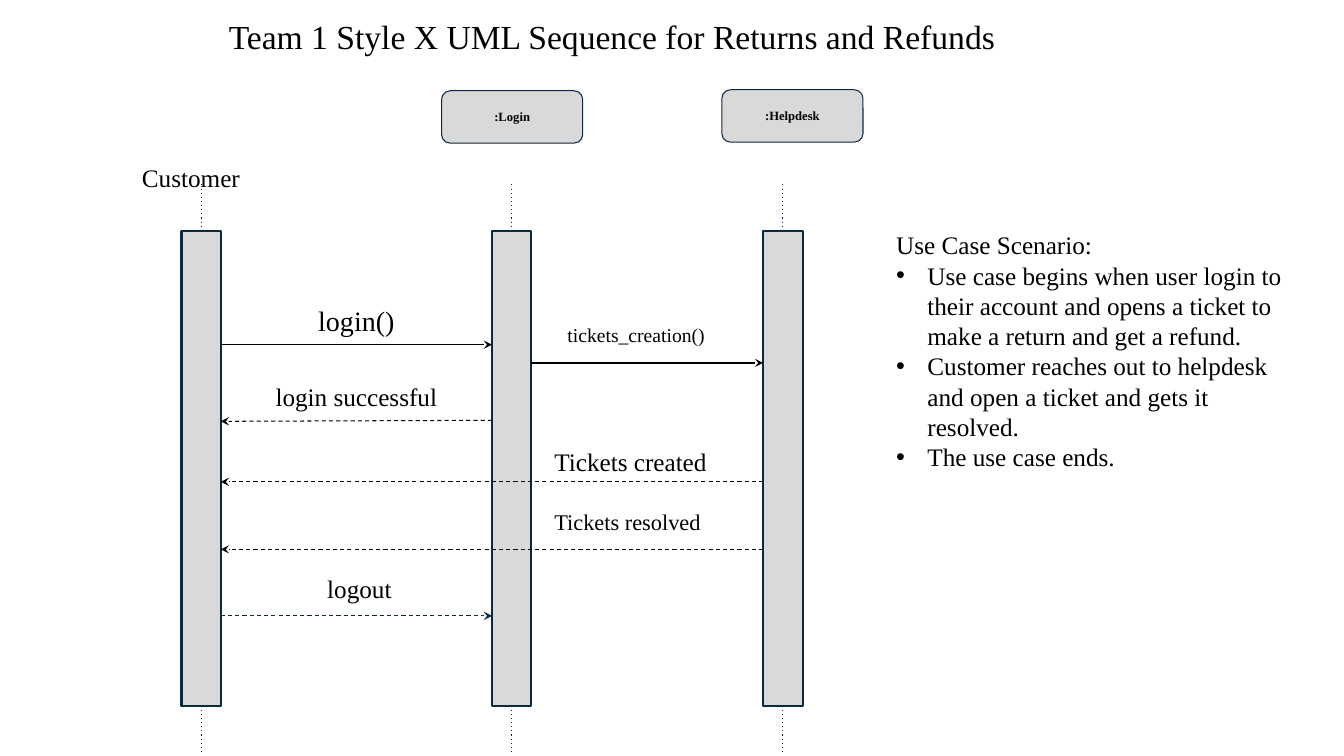
from dataclasses import dataclass

from lxml.etree import SubElement
from pptx import Presentation
from pptx.dml.color import RGBColor
from pptx.enum.shapes import MSO_CONNECTOR, MSO_SHAPE
from pptx.enum.text import MSO_ANCHOR as Anchor, MSO_AUTO_SIZE as AutoSize, PP_ALIGN as Align
from pptx.oxml.ns import qn
from pptx.shapes.autoshape import Shape
from pptx.shapes.connector import Connector
from pptx.util import Emu, Pt

PX = 9144  # 100 px to the inch
FONT = "Times New Roman"
BLACK = RGBColor(0x00, 0x00, 0x00)
GREY = RGBColor(0xD9, 0xD9, 0xD9)
NAVY = RGBColor(0x0E, 0x28, 0x41)
TEAL = RGBColor(0x09, 0x2A, 0x39)

BAR_TOP, BAR_WIDTH, BAR_HEIGHT = 229, 39, 471
STUB = 46
HEAD_WIDTH, HEAD_HEIGHT = 140, 52
INDENT = 31
CUSTOMER, LOGIN, HELPDESK = 180, 488, 757  # left edges of the activation bars


@dataclass(frozen=True)
class Label:
    text: str
    left: int
    top: int
    width: int
    height: int
    size: int
    align: Align = Align.LEFT
    boxed: bool = False  # fixed height, centred vertically, even margins


@dataclass(frozen=True)
class Message:
    sender: int
    receiver: int
    start_y: int
    end_y: int
    color: RGBColor = BLACK
    weight: float = 0.75
    dash: str = "dash"


@dataclass(frozen=True)
class Header:
    text: str
    left: int
    top: int


LABELS = [
    Label("Customer", 131, 156, 136, 40, 18),
    Label("login()", 250, 293, 207, 49, 20, Align.CENTER, True),
    Label("login successful", 261, 377, 185, 33, 18, Align.CENTER, True),
    Label("logout", 250, 564, 213, 40, 18, Align.CENTER),
    Label("tickets_creation()", 553, 315, 169, 34, 14),
    Label("Tickets created", 540, 438, 205, 40, 18),
    Label("Tickets resolved", 540, 499, 178, 37, 16),
]
MESSAGES = [
    Message(CUSTOMER, LOGIN, 342, 342, weight=1, dash="solid"),
    Message(LOGIN, HELPDESK, 360, 360, weight=1, dash="solid"),
    Message(LOGIN, CUSTOMER, 417, 418),
    Message(HELPDESK, CUSTOMER, 478, 478),
    Message(HELPDESK, CUSTOMER, 545, 545),
    Message(CUSTOMER, LOGIN, 611, 611, color=NAVY),
]
HEADERS = [Header(":Login", 438, 90), Header(":Helpdesk", 716, 89)]
SCENARIO = Label("Use Case Scenario:", 879, 223, 409, 252, 18)
STEPS = [
    "Use case begins when user login to their account and opens a ticket to make a return and get a refund.",
    "Customer reaches out to helpdesk and open a ticket and gets it resolved.",
    "The use case ends.",
]

prs = Presentation()
prs.slide_width, prs.slide_height = Emu(1333 * PX), Emu(750 * PX)
slide = prs.slides.add_slide(prs.slide_layouts[6])


def style_text(shape: Shape, size: int, align: Align, boxed: bool, bold: bool = False) -> None:
    frame = shape.text_frame
    frame.word_wrap = True
    if boxed:
        frame.vertical_anchor = Anchor.MIDDLE
        frame.margin_left = frame.margin_right = Emu(10 * PX)
        frame.margin_top = frame.margin_bottom = Emu(10 * PX)
    for paragraph in frame.paragraphs:
        paragraph.alignment = align
        for run in paragraph.runs:
            run.font.name, run.font.size, run.font.bold = FONT, Pt(size), bold
            run.font.color.rgb = BLACK


def add_label(label: Label, steps: list[str]) -> Shape:
    box = slide.shapes.add_textbox(*(Emu(v * PX) for v in (label.left, label.top, label.width, label.height)))
    box.text_frame.text = label.text
    for step in steps:
        paragraph = box.text_frame.add_paragraph()
        paragraph.text = step
        props = paragraph._p.get_or_add_pPr()
        props.set("marL", str(INDENT * PX))
        props.set("indent", str(-INDENT * PX))
        SubElement(props, qn("a:buFont"), typeface="Arial")
        SubElement(props, qn("a:buChar"), char="•")
    style_text(box, label.size, label.align, label.boxed)
    box.text_frame.auto_size = AutoSize.NONE if label.boxed else AutoSize.SHAPE_TO_FIT_TEXT
    return box


def add_block(kind: MSO_SHAPE, left: int, top: int, width: int, height: int,
              edge: RGBColor, weight: float) -> Shape:
    block = slide.shapes.add_shape(kind, *(Emu(v * PX) for v in (left, top, width, height)))
    block.shadow.inherit = False
    block.fill.solid()
    block.fill.fore_color.rgb = GREY
    block.line.color.rgb, block.line.width = edge, Pt(weight)
    return block


def add_line(x1: int, y1: int, x2: int, y2: int, color: RGBColor, weight: float, dash: str) -> Connector:
    line = slide.shapes.add_connector(MSO_CONNECTOR.STRAIGHT, *(Emu(v * PX) for v in (x1, y1, x2, y2)))
    line.line.color.rgb, line.line.width = color, Pt(weight)
    SubElement(line.line._get_or_add_ln(), qn("a:prstDash"), val=dash)
    SubElement(line._element.spPr, qn("a:effectLst"))
    return line


def add_lifeline(left: int) -> None:
    bar = add_block(MSO_SHAPE.RECTANGLE, left, BAR_TOP, BAR_WIDTH, BAR_HEIGHT, TEAL, 1.5)
    middle, bottom = left + BAR_WIDTH // 2, BAR_TOP + BAR_HEIGHT
    upper = add_line(middle, BAR_TOP - STUB, middle, BAR_TOP, NAVY, 0.75, "dot")
    upper.end_connect(bar, 0)
    upper.begin_x = upper.end_x
    lower = add_line(middle, bottom, middle, bottom + STUB, NAVY, 0.75, "dot")
    lower.begin_connect(bar, 2)
    lower.end_x = lower.begin_x


def add_message(message: Message) -> None:
    rightward = message.sender < message.receiver
    start = message.sender + (BAR_WIDTH if rightward else 0)
    end = message.receiver + (0 if rightward else BAR_WIDTH)
    arrow = add_line(start, message.start_y, end, message.end_y, message.color, message.weight, message.dash)
    SubElement(arrow.line._get_or_add_ln(), qn("a:tailEnd"), type="stealth")


# Title
title = add_label(Label("Team 1 Style X UML Sequence for Returns and Refunds", 32, 2, 1150, 72, 24, Align.CENTER, True), [])
title.text_frame.paragraphs[0].line_spacing = 0.9

# Lifelines with their activation bars
for bar_left in (CUSTOMER, LOGIN, HELPDESK):
    add_lifeline(bar_left)

# Object headers
for header in HEADERS:
    head = add_block(MSO_SHAPE.ROUNDED_RECTANGLE, header.left, header.top, HEAD_WIDTH, HEAD_HEIGHT, NAVY, 0.75)
    head.text_frame.text = header.text
    style_text(head, 9, Align.CENTER, boxed=True, bold=True)

# Messages and their labels
for call in MESSAGES:
    add_message(call)
for caption in LABELS:
    add_label(caption, [])

# Use case scenario
add_label(SCENARIO, STEPS)

prs.save("out.pptx")
